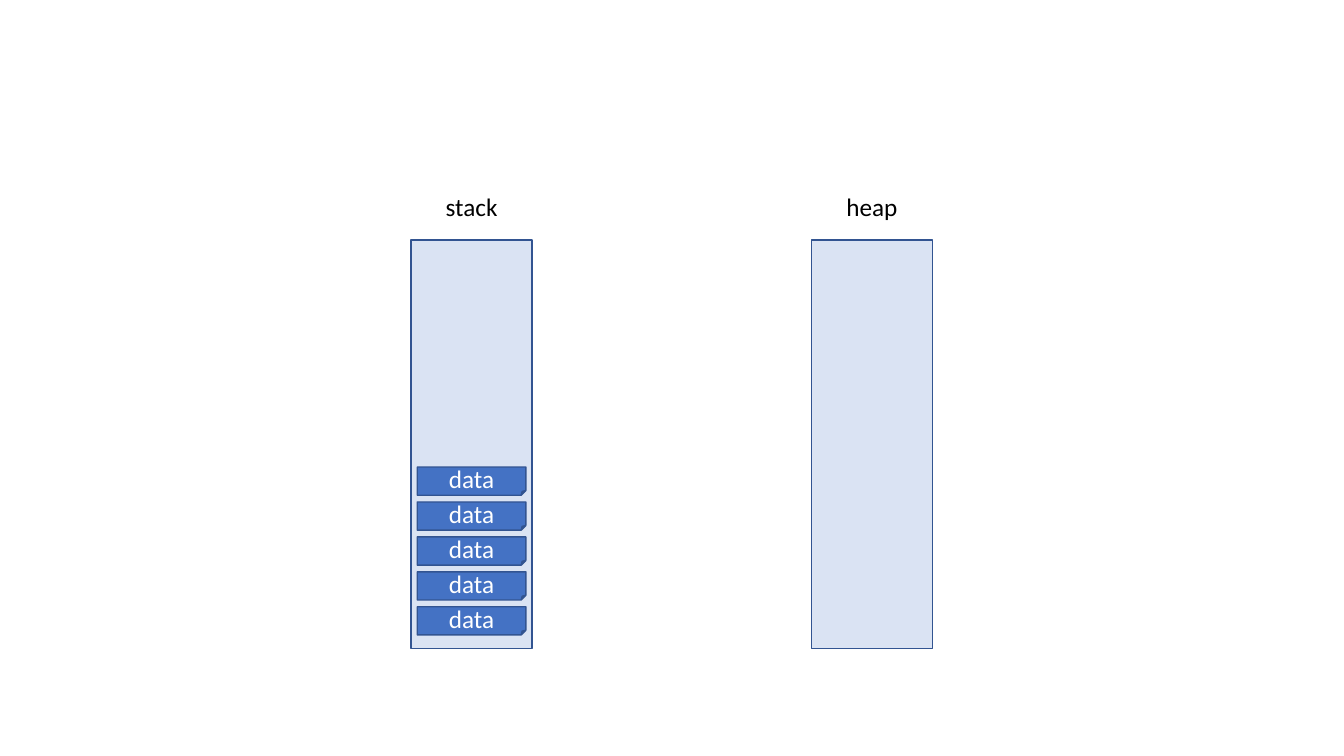
from dataclasses import dataclass

from pptx import Presentation
from pptx.dml.color import RGBColor
from pptx.enum.shapes import MSO_SHAPE
from pptx.enum.text import MSO_ANCHOR, MSO_AUTO_SIZE, PP_ALIGN
from pptx.util import Cm, Pt

# Content: each memory area with its blocks, from the bottom up
MEMORY_AREAS = [
    ("stack", ["data"] * 5),
    ("heap", []),
]


@dataclass(frozen=True)
class Theme:
    font: str = "Calibri"
    size: int = 18
    label: str = "000000"
    area_fill: str = "DAE3F3"
    block_fill: str = "4472C4"
    block_text: str = "FFFFFF"
    outline: str = "325491"
    outline_width: int = 1


THEME = Theme()

# Layout in centimetres
AREA_LEFT, AREA_TOP, AREA_WIDTH, AREA_HEIGHT = 10.36, 6.05, 3.05, 10.29
AREA_PITCH = 10.09
LABEL_TOP, LABEL_HEIGHT = 4.7, 1.02
BLOCK_WIDTH, BLOCK_HEIGHT = 2.74, 0.71
BLOCK_PITCH, BOTTOM_BLOCK_TOP = 0.88, 15.29


def write(frame, text, color):
    frame.word_wrap = True
    frame.text = text
    paragraph = frame.paragraphs[0]
    paragraph.alignment = PP_ALIGN.CENTER
    font = paragraph.runs[0].font
    font.name, font.size = THEME.font, Pt(THEME.size)
    font.color.rgb = RGBColor.from_string(color)


def add_outlined(slide, preset, left, top, width, height, fill):
    shape = slide.shapes.add_shape(preset, Cm(left), Cm(top), Cm(width), Cm(height))
    shape.shadow.inherit = False
    shape.fill.solid()
    shape.fill.fore_color.rgb = RGBColor.from_string(fill)
    shape.line.color.rgb = RGBColor.from_string(THEME.outline)
    shape.line.width = Pt(THEME.outline_width)
    return shape


def add_area(slide, left, name, blocks):
    # Column and its label
    add_outlined(slide, MSO_SHAPE.RECTANGLE, left, AREA_TOP,
                 AREA_WIDTH, AREA_HEIGHT, THEME.area_fill)
    label = slide.shapes.add_textbox(Cm(left), Cm(LABEL_TOP),
                                     Cm(AREA_WIDTH), Cm(LABEL_HEIGHT))
    write(label.text_frame, name, THEME.label)
    label.text_frame.auto_size = MSO_AUTO_SIZE.SHAPE_TO_FIT_TEXT

    # Blocks piled up from the bottom, centred in the column
    block_left = left + (AREA_WIDTH - BLOCK_WIDTH) / 2
    for level, text in enumerate(blocks):
        block = add_outlined(slide, MSO_SHAPE.FOLDED_CORNER, block_left,
                             BOTTOM_BLOCK_TOP - level * BLOCK_PITCH,
                             BLOCK_WIDTH, BLOCK_HEIGHT, THEME.block_fill)
        block.text_frame.vertical_anchor = MSO_ANCHOR.MIDDLE
        write(block.text_frame, text, THEME.block_text)


def main():
    presentation = Presentation()
    presentation.slide_width, presentation.slide_height = Cm(33.87), Cm(19.05)
    slide = presentation.slides.add_slide(presentation.slide_layouts[6])
    for column, (name, blocks) in enumerate(MEMORY_AREAS):
        add_area(slide, AREA_LEFT + column * AREA_PITCH, name, blocks)
    presentation.save("out.pptx")


if __name__ == "__main__":
    main()
